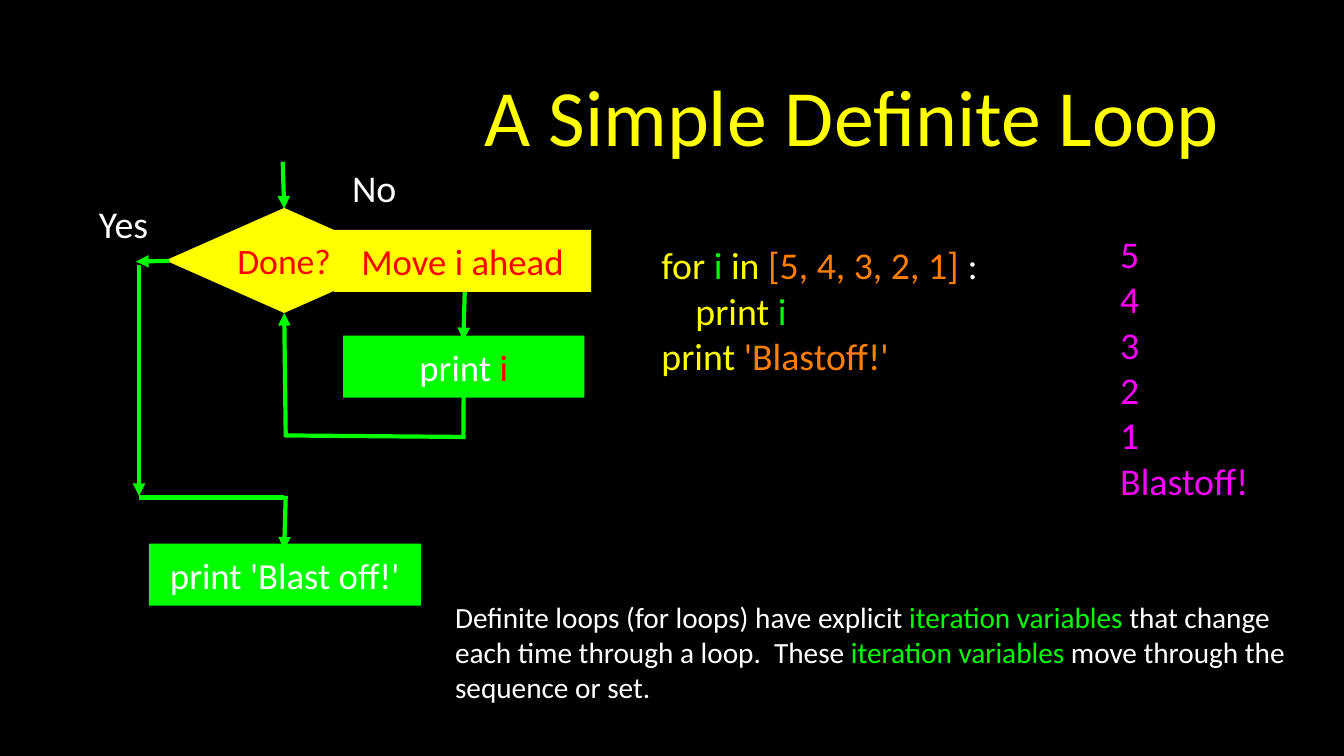
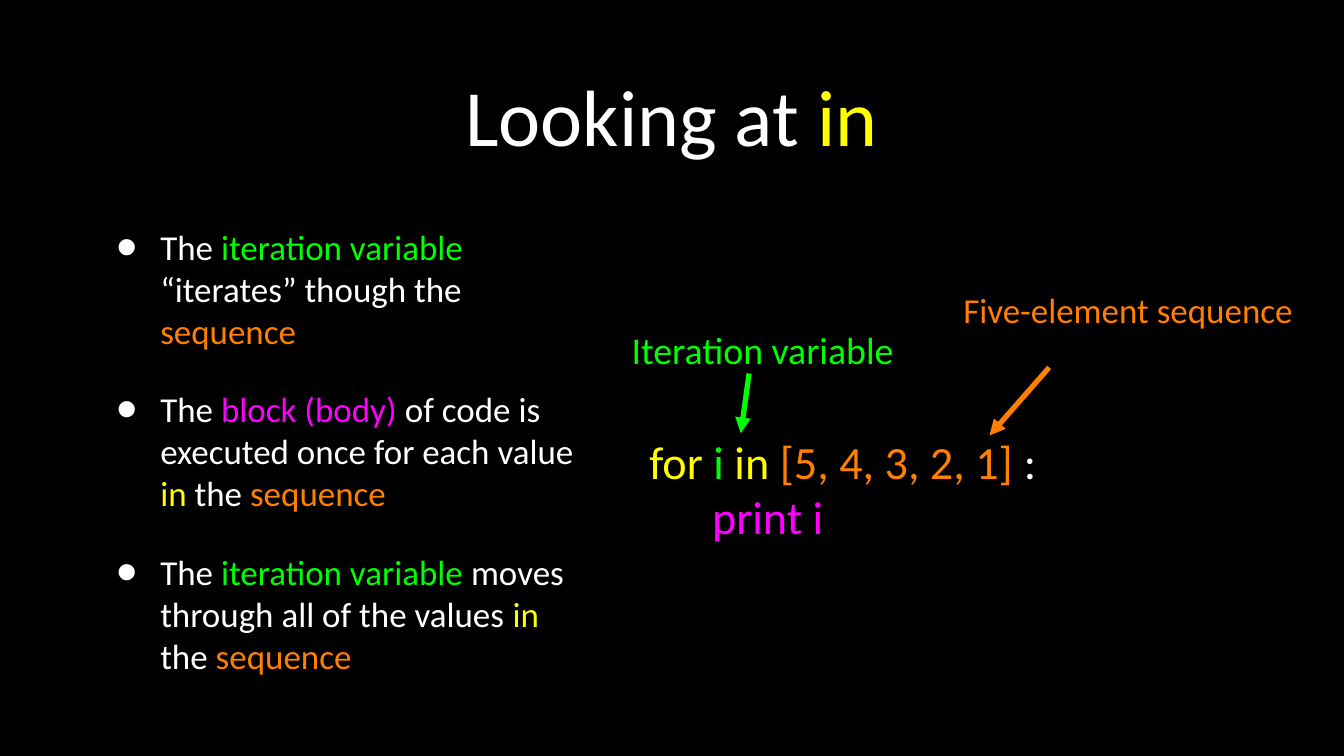
import pptx
import pptx.dml.color
import pptx.enum.shapes
import pptx.enum.text
import pptx.util
from lxml import etree
from pptx.oxml.ns import qn

Inches = pptx.util.Inches
Pt = pptx.util.Pt
Shape = pptx.enum.shapes.MSO_SHAPE
Align = pptx.enum.text.PP_ALIGN

FONT = "Calibri"
BLACK, WHITE = "000000", "FFFFFF"
YELLOW, GREEN, RED = "FFFF00", "00FF00", "FF0000"
ORANGE, MAGENTA = "FF7F00", "FF00FF"

LOOP_HEADER = [("for ", YELLOW), ("i ", GREEN), ("in ", YELLOW),
               ("[5, 4, 3, 2, 1] ", ORANGE), (":", WHITE)]


def rgb(hex_colour):
    return pptx.dml.color.RGBColor.from_string(hex_colour)


def write(shape, paragraphs, size, align=Align.LEFT, inset=0):
    """Fill a shape with paragraphs, each a list of (text, colour) runs."""
    frame = shape.text_frame
    frame.word_wrap = True
    frame.auto_size = pptx.enum.text.MSO_AUTO_SIZE.NONE
    frame.vertical_anchor = pptx.enum.text.MSO_ANCHOR.MIDDLE
    frame.margin_left = frame.margin_right = Inches(inset)
    frame.margin_top = frame.margin_bottom = Inches(inset)
    for index, runs in enumerate(paragraphs):
        paragraph = frame.paragraphs[0] if index == 0 else frame.add_paragraph()
        paragraph.alignment = align
        for text, colour in runs:
            run = paragraph.add_run()
            run.text = text
            run.font.size = Pt(size)
            run.font.name = FONT
            run.font.color.rgb = rgb(colour)
    return frame.paragraphs


def place(shape, left, top, width, height):
    shape.left, shape.top = Inches(left), Inches(top)
    shape.width, shape.height = Inches(width), Inches(height)


def add_text(slide, box, paragraphs, size, align=Align.LEFT):
    label = slide.shapes.add_textbox(*map(Inches, box))
    return write(label, paragraphs, size, align)


def add_block(slide, preset, box, fill, runs, size=35):
    block = slide.shapes.add_shape(preset, *map(Inches, box))
    block.shadow.inherit = False
    block.fill.solid()
    block.fill.fore_color.rgb = rgb(fill)
    block.line.fill.background()
    write(block, [runs], size, Align.CENTER)


def add_line(slide, start, end, colour, width, arrow=True):
    line = slide.shapes.add_connector(
        pptx.enum.shapes.MSO_CONNECTOR.STRAIGHT, *map(Inches, (*start, *end)))
    line.line.color.rgb = rgb(colour)
    line.line.width = Pt(width)
    properties = line.element.spPr
    if arrow:
        etree.SubElement(properties.find(qn("a:ln")), qn("a:tailEnd"), type="triangle")
    etree.SubElement(properties, qn("a:effectLst"))


def set_indent(paragraph, left, hanging=0):
    properties = paragraph._p.get_or_add_pPr()
    properties.set("marL", str(Inches(left)))
    properties.set("indent", str(-Inches(hanging)))
    return properties


def add_title(slide, left, runs):
    """Place the title between the given left edge and the shared right edge."""
    title = slide.shapes.title
    place(title, left, 0.26, 16.5 - left, 2.51)
    write(title, [runs], 76, Align.CENTER, 0.04)


def add_bullets(slide, box, items):
    body = slide.placeholders[1]
    place(body, *box)
    for paragraph in write(body, items, 33.3, inset=0.04):
        paragraph.space_before = Pt(35)
        properties = set_indent(paragraph, 0.82, 0.58)
        colour = etree.SubElement(properties, qn("a:buClr"))
        etree.SubElement(colour, qn("a:srgbClr"), val=WHITE)
        etree.SubElement(properties, qn("a:buSzPct"), val="171000")
        etree.SubElement(properties, qn("a:buFont"), typeface="Arial")
        etree.SubElement(properties, qn("a:buChar"), char="•")


def add_flowchart(slide, left, top):
    def at(x, y, *size):
        return (left + x, top + y, *size)

    add_block(slide, Shape.DIAMOND, at(0.96, 0.61, 3.14, 1.39), YELLOW,
              [("Done?", RED)], 34)

    flow = [
        ((2.51, 0), (2.53, 0.62), True),
        ((2.55, 3.64), (2.53, 2), True),
        ((4.92, 1.66), (4.9, 2.36), True),
        ((4.91, 2.2), (4.9, 3.64), False),
        ((2.54, 3.62), (4.93, 3.64), False),
        ((1.01, 1.31), (0.57, 1.32), True),
        ((2.55, 4.42), (2.53, 5.13), True),
        ((0.61, 1.37), (0.61, 4.42), True),
        ((0.61, 4.44), (2.53, 4.44), False),
    ]
    for start, end, arrow in flow:
        add_line(slide, at(*start), at(*end), GREEN, 4, arrow)

    steps = [
        (0.74, 5.05, 3.6, GREEN, [("print 'Blast off!'", WHITE)]),
        (3.31, 2.3, 3.19, GREEN, [("print ", WHITE), ("i", RED)]),
        (3.19, 0.9, 3.4, YELLOW, [("Move i ahead", RED)]),
    ]
    for x, y, width, fill, runs in steps:
        add_block(slide, Shape.RECTANGLE, at(x, y, width, 0.82), fill, runs)

    for answer, x, y, width in (("Yes", 0, 0.52, 0.81), ("No", 3.38, 0.04, 0.68)):
        add_text(slide, at(x, y, width, 0.6), [[(answer, WHITE)]], 36, Align.CENTER)


def add_code(slide, box, lines, size, indent):
    """Write code lines, the second of which is the indented loop body."""
    set_indent(add_text(slide, box, lines, size)[1], indent)


def add_annotated_loop(slide, left, top):
    add_code(slide, (left + 0.52, top + 1.97, 5.77, 1.47),
             [LOOP_HEADER, [("print i", MAGENTA)]], 44, 0.83)
    callouts = [
        ("Iteration variable", GREEN, 36, (0, 0.56, 4.04, 0.6),
         (1.84, 1.18), (1.73, 1.97)),
        ("Five-element sequence", ORANGE, 33.3, (4.29, 0, 5.13, 0.68),
         (5.81, 1.1), (5.02, 2)),
    ]
    for text, colour, size, (x, y, width, height), start, end in callouts:
        add_text(slide, (left + x, top + y, width, height),
                 [[(text, colour)]], size, Align.CENTER)
        add_line(slide, (left + start[0], top + start[1]),
                 (left + end[0], top + end[1]), colour, 5)


def build_definite_loop(prs):
    slide = prs.slides.add_slide(prs.slide_layouts[5])
    add_title(slide, 6.03, [("A Simple Definite Loop", YELLOW)])
    add_code(slide, (8.75, 3.2, 4.85, 1.8), [
        LOOP_HEADER,
        [("print ", YELLOW), ("i", GREEN)],
        [("print ", YELLOW), ("'Blastoff!'", ORANGE)],
    ], 36, 0.45)
    output = ["5", "4", "3", "2", "1", "Blastoff!"]
    add_text(slide, (14.82, 3.05, 1.94, 3.6),
             [[(line, MAGENTA)] for line in output], 36)
    add_flowchart(slide, 1.23, 2.14)
    add_text(slide, (6.02, 7.71, 11.08, 1.82), [[
        ("Definite loops (for loops) have explicit ", WHITE),
        ("iteration variables ", GREEN),
        ("that change each time through a loop.  These ", WHITE),
        ("iteration variables", GREEN),
        (" move through the sequence or set.", WHITE),
    ]], 27.9)


def build_looking_at_in(prs):
    slide = prs.slides.add_slide(prs.slide_layouts[1])
    add_title(slide, 1.26, [("Looking at ", WHITE), ("in", YELLOW)])
    in_the_sequence = [("in", YELLOW), (" the ", WHITE), ("sequence", ORANGE)]
    add_bullets(slide, (1.26, 2.74, 6.54, 6.45), [
        [("The ", WHITE), ("iteration variable ", GREEN),
         ("“iterates” though the ", WHITE), ("sequence", ORANGE)],
        [("The ", WHITE), ("block (body)", MAGENTA),
         (" of code is executed once for each value ", WHITE), *in_the_sequence],
        [("The ", WHITE), ("iteration variable ", GREEN),
         ("moves through all of the values ", WHITE), *in_the_sequence],
    ])
    add_annotated_loop(slide, 8.07, 3.76)


def main():
    prs = pptx.Presentation()
    prs.slide_width, prs.slide_height = Inches(17.78), Inches(10)
    background = prs.slide_master.background.fill
    background.solid()
    background.fore_color.rgb = rgb(BLACK)
    build_definite_loop(prs)
    build_looking_at_in(prs)
    prs.save("out.pptx")


if __name__ == "__main__":
    main()
